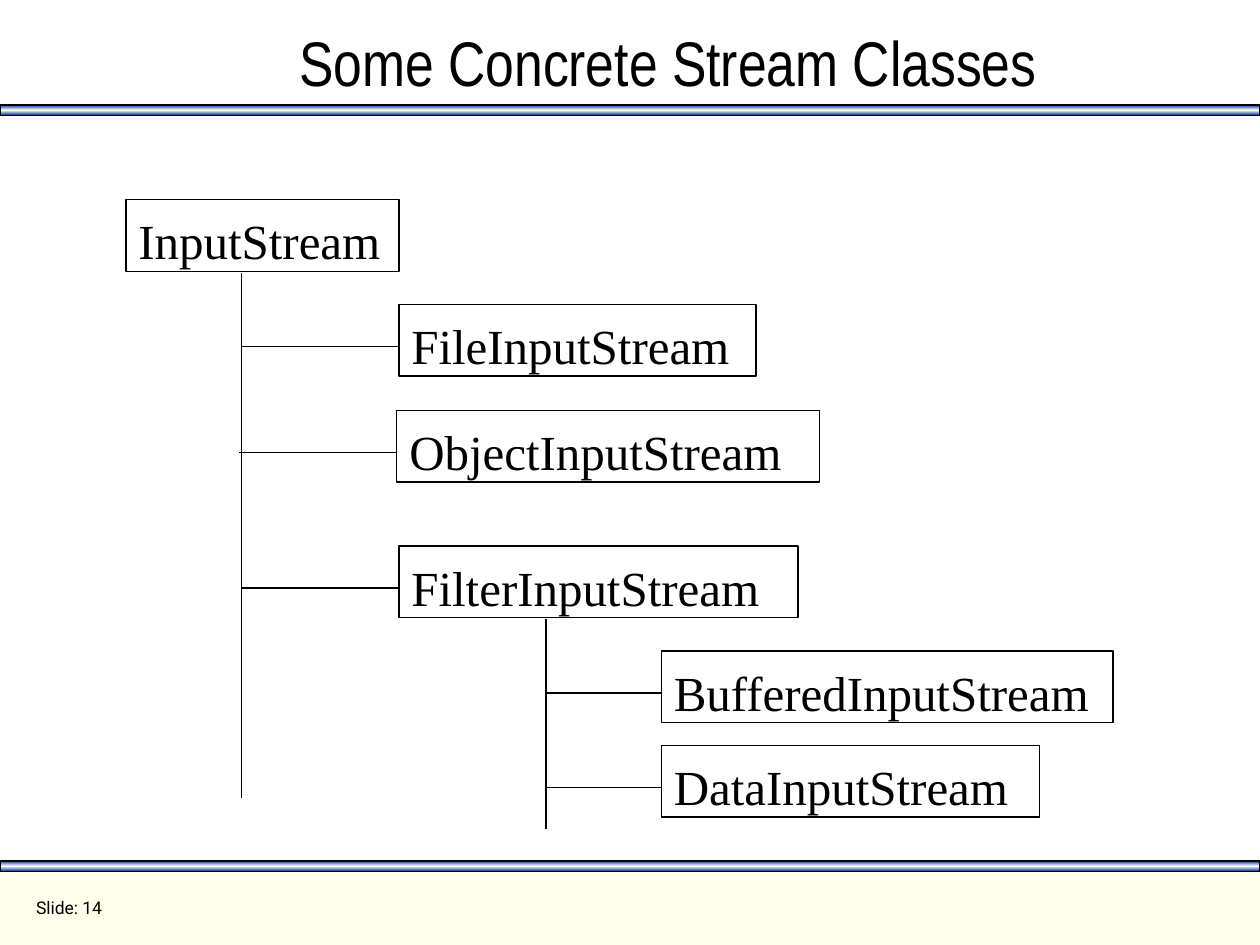
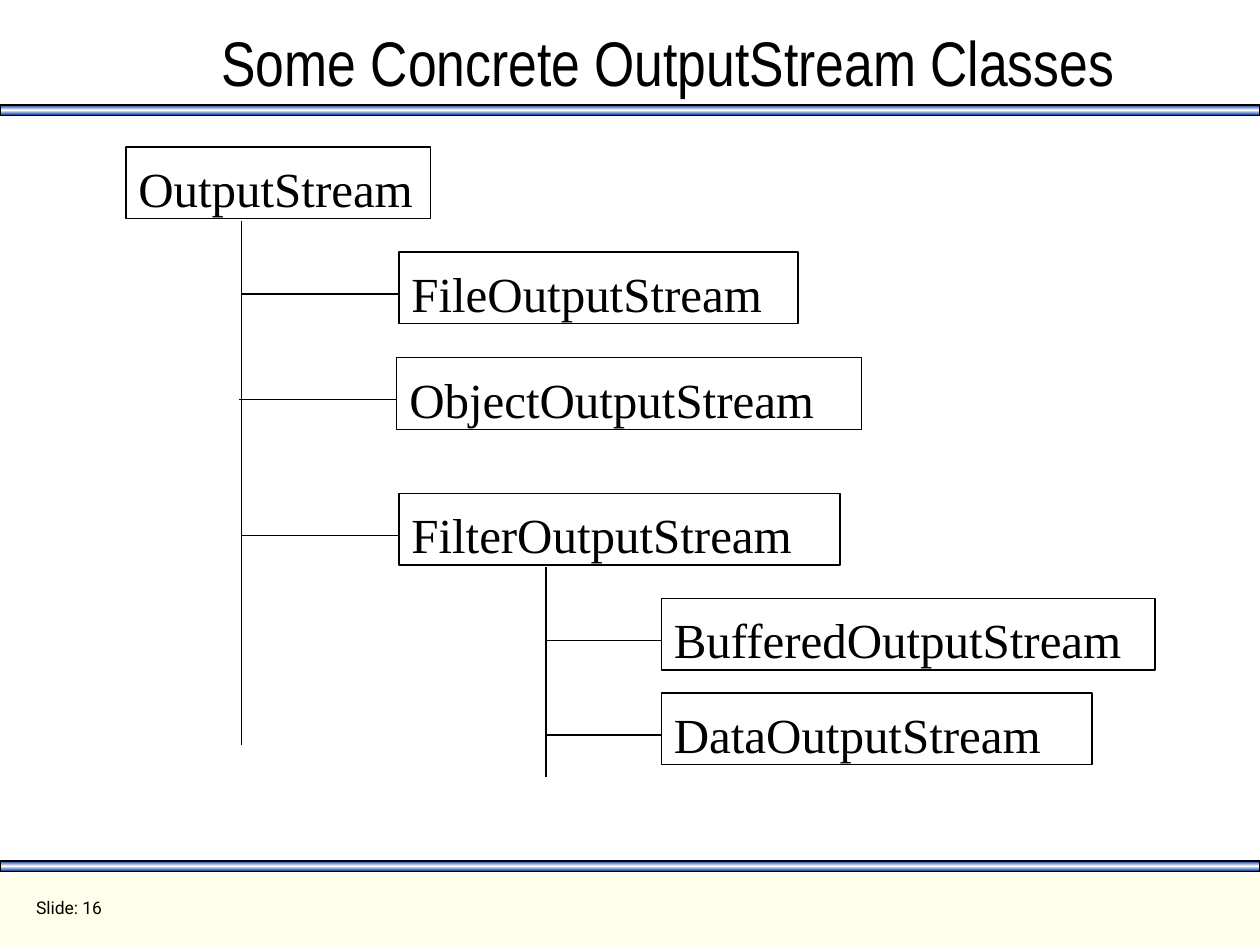
"""Build two slides showing the input and output stream class trees."""
from copy import deepcopy
from dataclasses import dataclass

from pptx import Presentation
from pptx.dml.color import RGBColor
from pptx.enum.shapes import MSO_CONNECTOR, MSO_SHAPE
from pptx.enum.text import MSO_ANCHOR, MSO_AUTO_SIZE, PP_ALIGN
from pptx.oxml import parse_xml
from pptx.oxml.ns import nsdecls, qn
from pptx.shapes.autoshape import Shape
from pptx.slide import Slide
from pptx.text.text import TextFrame
from pptx.util import Pt

BLACK = RGBColor(0x00, 0x00, 0x00)
WHITE = RGBColor(0xFF, 0xFF, 0xFF)
BLUE = RGBColor(0x00, 0x33, 0x99)
CREAM = RGBColor(0xFF, 0xFF, 0xEB)
BAND_STOPS = ((0, BLUE), (0.5, WHITE), (1, BLUE))

TITLE_FONT = "Arial Narrow"
FOOTER_FONT = "Roboto"
CLASS_FONT = "Times New Roman"

SLIDE_WIDTH = 720
SLIDE_HEIGHT = 540
BAND_HEIGHT = 6
FOOTER_TOP = 492
LINE_WIDTH = 0.75
BOX_HEIGHT = 41
BRANCH_DROP = 24


@dataclass(frozen=True)
class ClassSlot:
    """Place of a class box in the tree, measured from the tree's top."""
    left: float
    drop: float
    branch_left: float | None = None


@dataclass(frozen=True)
class Trunk:
    """Vertical line below a parent class, measured from the tree's top."""
    left: float
    start: float
    end: float


@dataclass(frozen=True)
class ClassTree:
    """One slide: its title, number, and class names with box widths."""
    title: str
    number: int
    top: float
    classes: tuple[tuple[str, float], ...]


SLOTS = (
    ClassSlot(72, 0),
    ClassSlot(228, 60, 138),
    ClassSlot(226.8, 120.5, 136.8),
    ClassSlot(228, 198, 138),
    ClassSlot(378, 258, 312),
    ClassSlot(378, 312, 312),
)
TRUNKS = (Trunk(138, 42, 342), Trunk(312, 240, 360))

TREES = (
    ClassTree("Some Concrete Stream Classes", 14, 114, (
        ("InputStream", 156),
        ("FileInputStream", 204),
        ("ObjectInputStream", 241.5),
        ("FilterInputStream", 228),
        ("BufferedInputStream", 258),
        ("DataInputStream", 216),
    )),
    ClassTree("Some Concrete OutputStream Classes", 16, 84, (
        ("OutputStream", 174),
        ("FileOutputStream", 228),
        ("ObjectOutputStream", 265.5),
        ("FilterOutputStream", 252),
        ("BufferedOutputStream", 282),
        ("DataOutputStream", 246),
    )),
)


def write_text(frame: TextFrame, text: str, font_name: str, size: float,
               alignment: PP_ALIGN = PP_ALIGN.LEFT) -> None:
    """Write one black run in the first paragraph of a frame."""
    frame.auto_size = MSO_AUTO_SIZE.NONE
    frame.margin_left = frame.margin_right = Pt(7.2)
    frame.margin_top = frame.margin_bottom = Pt(3.6)
    paragraph = frame.paragraphs[0]
    paragraph.alignment = alignment
    run = paragraph.add_run()
    run.text = text
    run.font.name = font_name
    run.font.size = Pt(size)
    run.font.color.rgb = BLACK


def add_rectangle(slide: Slide, left: float, top: float, width: float,
                  height: float, outlined: bool = True) -> Shape:
    """Add an unfilled rectangle, with a thin black outline if wanted."""
    shape = slide.shapes.add_shape(
        MSO_SHAPE.RECTANGLE, Pt(left), Pt(top), Pt(width), Pt(height))
    shape.shadow.inherit = False
    shape.fill.background()
    if outlined:
        shape.line.color.rgb = BLACK
        shape.line.width = Pt(LINE_WIDTH)
    else:
        shape.line.fill.background()
    return shape


def add_line(slide: Slide, start_x: float, start_y: float,
             end_x: float, end_y: float) -> None:
    """Add a thin black line without a shadow."""
    line = slide.shapes.add_connector(
        MSO_CONNECTOR.STRAIGHT, Pt(start_x), Pt(start_y), Pt(end_x), Pt(end_y))
    line.line.color.rgb = BLACK
    line.line.width = Pt(LINE_WIDTH)
    line._element.spPr.append(parse_xml(f"<a:effectLst {nsdecls('a')}/>"))


def add_band(slide: Slide, top: float) -> None:
    """Add a full-width band shaded blue, white, blue."""
    band = add_rectangle(slide, 0, top, SLIDE_WIDTH, BAND_HEIGHT)
    band.fill.gradient()
    band.fill.gradient_angle = 90
    stop_list = band._element.find(f".//{qn('a:gsLst')}")
    stop_list.insert(1, deepcopy(stop_list[0]))
    for stop, (position, color) in zip(band.fill.gradient_stops, BAND_STOPS):
        stop.position = position
        stop.color.rgb = color


def add_frame(slide: Slide, title_text: str, number: int) -> None:
    """Add the footer, bands, slide number and title."""
    footer = add_rectangle(slide, 0, FOOTER_TOP, SLIDE_WIDTH,
                           SLIDE_HEIGHT - FOOTER_TOP, outlined=False)
    footer.fill.solid()
    footer.fill.fore_color.rgb = CREAM
    for top in (60, FOOTER_TOP):
        add_band(slide, top)

    number_box = slide.shapes.add_textbox(Pt(13.5), Pt(509), Pt(198), Pt(21))
    number_box.text_frame.word_wrap = True
    write_text(number_box.text_frame, f"Slide: {number}", FOOTER_FONT, 10)

    title = slide.shapes.title
    title.left, title.top = Pt(60), Pt(6)
    title.width, title.height = Pt(643.5), Pt(54)
    title.text_frame.vertical_anchor = MSO_ANCHOR.BOTTOM
    write_text(title.text_frame, title_text, TITLE_FONT, 36, PP_ALIGN.CENTER)


def add_class_box(slide: Slide, slot: ClassSlot, tree_top: float,
                  name: str, width: float) -> None:
    """Add a class box and the branch that joins it to its parent."""
    top = tree_top + slot.drop
    box = add_rectangle(slide, slot.left, top, width, BOX_HEIGHT)
    frame = box.text_frame
    frame.word_wrap = True
    frame.vertical_anchor = MSO_ANCHOR.TOP
    write_text(frame, name, CLASS_FONT, 28)
    frame.margin_top, frame.margin_bottom = Pt(6.5), Pt(0)
    if slot.branch_left is not None:
        branch_y = top + BRANCH_DROP
        add_line(slide, slot.branch_left, branch_y, slot.left, branch_y)


def add_tree(slide: Slide, tree: ClassTree) -> None:
    """Draw the trunks and class boxes of one tree."""
    for trunk in TRUNKS:
        add_line(slide, trunk.left, tree.top + trunk.start,
                 trunk.left, tree.top + trunk.end)
    for slot, (name, width) in zip(SLOTS, tree.classes):
        add_class_box(slide, slot, tree.top, name, width)


def main() -> None:
    """Build and save the presentation."""
    presentation = Presentation()
    presentation.slide_width = Pt(SLIDE_WIDTH)
    presentation.slide_height = Pt(SLIDE_HEIGHT)
    title_only = presentation.slide_layouts.get_by_name("Title Only")
    for tree in TREES:
        slide = presentation.slides.add_slide(title_only)
        add_frame(slide, tree.title, tree.number)
        add_tree(slide, tree)
    presentation.save("out.pptx")


if __name__ == "__main__":
    main()
